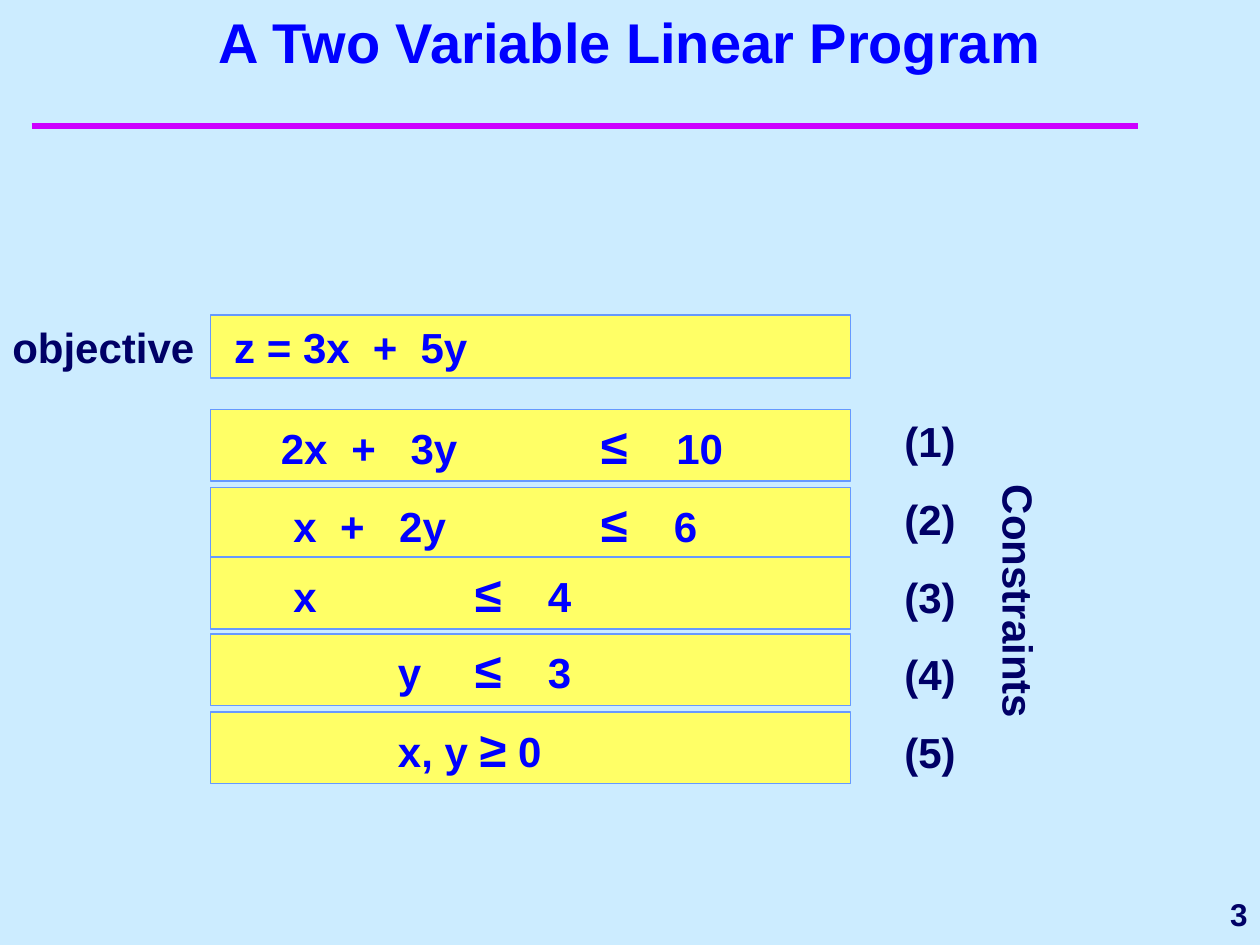
from lxml import etree
from pptx import Presentation
from pptx.dml.color import RGBColor
from pptx.enum.shapes import MSO_CONNECTOR, MSO_SHAPE
from pptx.enum.text import MSO_ANCHOR, PP_ALIGN
from pptx.oxml.ns import qn
from pptx.util import Inches, Pt

STRAIGHT = MSO_CONNECTOR.STRAIGHT
RECT = MSO_SHAPE.RECTANGLE
MIDDLE, TOP = MSO_ANCHOR.MIDDLE, MSO_ANCHOR.TOP
LEFT, CENTER, RIGHT = PP_ALIGN.LEFT, PP_ALIGN.CENTER, PP_ALIGN.RIGHT

COLORS = {
    "back": "CCECFF",
    "rule": "CC00FF",
    "navy": "000066",
    "blue": "0000FF",
    "fill": "FFFF66",
    "edge": "6699FF",
}
ROWS = [
    (3.25, [(0.46, "2x"), (1.02, "+"), (1.49, "3y"), (3, "≤"), (3.6, "10")]),
    (3.87, [(0.56, "x"), (0.93, "+"), (1.4, "2y"), (3, "≤"), (3.58, "6")]),
    (4.42, [(0.56, "x"), (2, "≤"), (2.58, "4")]),
    (5.03, [(1.39, "y"), (2, "≤"), (2.58, "3")]),
    (5.65, [(1.39, "x, y "), (None, "≥"), (None, " 0")]),
]
GOAL = [(0.09, "z = 3x"), (1.19, "+"), (1.57, "5y")]


def color(name):
    return RGBColor.from_string(COLORS[name])


def style(font, size, tint):
    font.name = "Arial"
    font.size = Pt(size)
    font.bold = True
    font.color.rgb = color(tint)


def add_label(slide, text, box, size=24, tint="navy", align=LEFT, anchor=TOP):
    label = slide.shapes.add_textbox(*map(Inches, box))
    frame = label.text_frame
    frame.word_wrap = True
    frame.vertical_anchor = anchor
    frame.text = text
    para = frame.paragraphs[0]
    para.alignment = align
    style(para.runs[0].font, size, tint)
    return label


def add_tabs(para, stops):
    tabs = etree.SubElement(para._p.get_or_add_pPr(), qn("a:tabLst"))
    for stop in stops:
        etree.SubElement(tabs, qn("a:tab"), pos=str(Inches(stop)), algn="l")


def add_row(slide, top, height, parts):
    row = slide.shapes.add_shape(
        RECT, Inches(1.67), Inches(top), Inches(5.08), Inches(height))
    row.shadow.inherit = False
    row.fill.solid()
    row.fill.fore_color.rgb = color("fill")
    row.line.color.rgb = color("edge")
    row.line.width = Pt(1)
    frame = row.text_frame
    frame.word_wrap = True
    frame.vertical_anchor = TOP
    para = frame.paragraphs[0]
    para.alignment = LEFT
    add_tabs(para, [stop for stop, _ in parts if stop is not None])
    for stop, text in parts:
        run = para.add_run()
        run.text = text if stop is None else "\t" + text
        style(run.font, 28 if text in "≤≥" else 24, "blue")


def add_rule(slide):
    rule = slide.shapes.add_connector(
        STRAIGHT, Inches(0.25), Inches(1), Inches(9.03), Inches(1))
    rule.line.color.rgb = color("rule")
    rule.line.width = Pt(4)
    etree.SubElement(rule._element.spPr, qn("a:effectLst"))


def main():
    deck = Presentation()
    deck.slide_width, deck.slide_height = Inches(10), Inches(7.5)
    slide = deck.slides.add_slide(deck.slide_layouts[6])
    slide.background.fill.solid()
    slide.background.fill.fore_color.rgb = color("back")

    add_rule(slide)
    add_label(slide, "3", (8.08, 7, 1.92, 0.5), 18, align=RIGHT, anchor=MIDDLE)
    title = add_label(slide, "A Two Variable Linear Program",
                      (0.75, 0.25, 8.5, 0.67), 32, "blue", CENTER, MIDDLE)
    title.text_frame.margin_bottom = Inches(0.56)

    add_label(slide, "objective", (0, 2.5, 1.67, 0.5))
    add_row(slide, 2.5, 0.5, GOAL)
    for i, (top, parts) in enumerate(ROWS):
        add_row(slide, top, 0.57, parts)
        add_label(slide, f"({i + 1})", (7.08, 3.25 + 0.617 * i, 0.67, 0.5))
    side = add_label(slide, "Constraints", (6.88, 4.71, 2.42, 0.5))
    side.rotation = 90

    deck.save("out.pptx")


if __name__ == "__main__":
    main()
